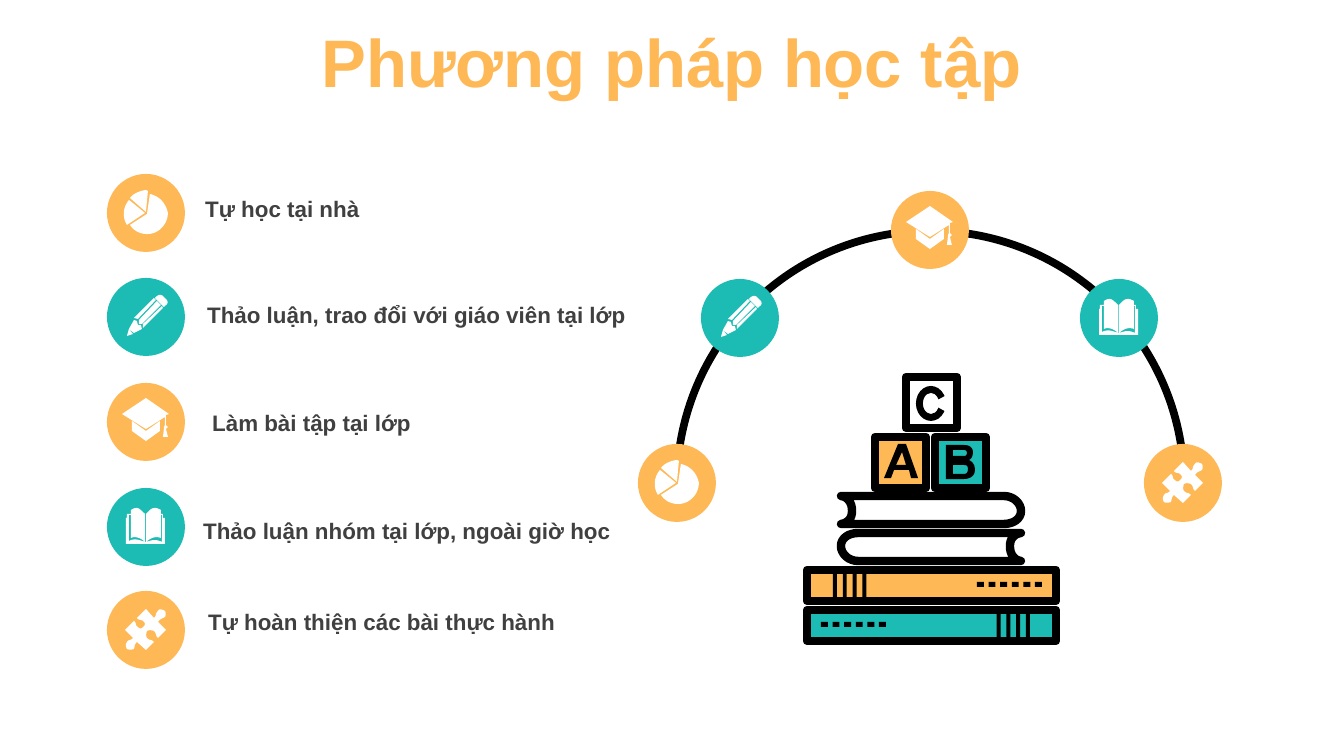
from dataclasses import dataclass

import pptx
import pptx.dml.color
import pptx.enum.shapes
import pptx.enum.text
import pptx.util

PX = 914400 / 134.4  # EMU in one pixel
FINE = 100  # outline steps in one pixel
CURVE_STEPS = 8
KIND = pptx.enum.shapes.MSO_SHAPE
ALIGN = pptx.enum.text.PP_ALIGN


@dataclass(frozen=True)
class Theme:
    font: str = "Arial"
    orange: str = "FEB856"
    teal: str = "1CBBB4"
    black: str = "000000"
    white: str = "FFFFFF"
    grey: str = "404040"
    title_size: float = 36
    method_size: float = 12
    border: float = 4.5


@dataclass(frozen=True)
class Method:
    text: str
    text_at: tuple[int, int]
    badge_y: int
    arc_at: tuple[int, int]
    color: str
    icon: str


@dataclass(frozen=True)
class Block:
    x: int
    y: int
    color: str


THEME = Theme()

# Icon outlines, measured from the centre of their badge
PIE = """M -17 -13 L -1 0 L -19 12 C -24 4 -23 -6 -17 -13
M 4 -19 C 13 -17 20 -10 22 0 C 22 9 16 17 8 20 C -1 23 -11 20 -16 12 L 1 1
M 0 -23 L 2 -22 L 0 -1 L -16 -15 C -12 -20 -6 -22 0 -23"""
PENCIL = """M -17 12 L -13 17 L -19 19
M -12 3 L -9 4 L -8 8 L -5 8 L -4 12 L -12 16 L -17 12
M 16 -11 L 17 -9 L -3 11 L -3 7
M 11 -16 L 15 -12 L -4 7 L -7 7 L -7 3
M 8 -19 L 10 -17 L -8 2 L -12 1
M 13 -22 C 15 -22 16 -22 17 -21 L 21 -17 C 22 -15 22 -13 20 -12 L 18 -10 L 9 -19 L 11 -21"""
CAP = """M -14 -1 L 0 9 L 14 -1 L 14 9 L 0 19 L -14 9
M 0 -24 L 23 -8 L 20 -7 L 20 3 L 22 5 L 20 7 L 22 15 L 17 15 L 18 7 L 18 5 L 19 3
L 19 -5 L 0 7 L -24 -8"""
BOOK = """M -1 15 L 0 15 C 7 13 9 12 16 15 L 16 -12 L 15 -12 L 15 11 C 9 9 5 11 0 15
L 0 -13 C 3 -16 5 -19 9 -19 C 11 -19 13 -18 15 -17 L 15 -13 L 17 -13 L 17 -9 L 19 -9
L 19 17 L -20 17 L -20 -9 L -19 -9 L -19 -13 L -15 -13 L -15 -17
C -13 -18 -12 -19 -9 -19 C -7 -19 -4 -16 -1 -13 L -1 15 C -5 11 -11 9 -15 11
L -15 -12 L -17 -12 L -17 14 C -11 11 -7 13 -1 15"""
PUZZLE = """M 19 -19 C 20 -17 20 -15 19 -13 C 16 -11 15 -12 12 -8 L 20 0 L 12 8
C 9 5 11 4 8 1 C 5 0 3 0 1 1 C 0 3 0 7 1 8 C 4 11 5 9 8 12 L 0 20 L -9 12
C -12 15 -11 16 -12 19 C -15 20 -17 20 -19 19 C -20 17 -21 15 -19 12
C -17 9 -15 11 -13 8 L -21 0 L -12 -9 C -9 -7 -11 -4 -8 -3 C -7 -1 -4 -1 -3 -3
C -1 -4 0 -7 -3 -9 C -5 -11 -7 -9 -9 -12 L 0 -21 L 8 -12 C 11 -15 9 -16 12 -19
C 13 -22 17 -20 19 -19"""

# Outlines of the toy letters and of an upright paperback
LETTER_A = """M 902 452 L 896 465 L 906 465
M 898 444 L 906 444 L 918 478 L 911 478 L 909 470 L 894 470 L 891 478 L 884 478"""
LETTER_B = """M 953 465 L 953 474 L 964 474 C 967 474 968 472 968 469 C 968 466 967 465 964 465
M 953 450 L 953 456 L 964 456 C 966 456 967 455 967 453 C 967 451 966 450 964 450
M 946 445 L 964 445 C 971 445 973 449 973 452 C 973 457 971 459 969 460
C 973 462 975 465 975 470 C 975 476 970 479 964 479 L 946 479"""
PAPERBACK = """M -14 90 L -14 -73 C -14 -82 -7 -90 1 -90 C 9 -90 14 -82 14 -73
L 14 90 C 13 83 8 79 1 79 C -7 79 -13 83 -14 90"""

METHODS = [
    Method("Tự học tại nhà", (192, 189), 213, (677, 483), THEME.orange, PIE),
    Method("Thảo luận, trao đổi với giáo viên tại lớp", (194, 295), 317, (740, 318), THEME.teal, PENCIL),
    Method("Làm bài tập tại lớp", (199, 403), 422, (930, 230), THEME.orange, CAP),
    Method("Thảo luận nhóm tại lớp, ngoài giờ học", (190, 511), 527, (1119, 318), THEME.teal, BOOK),
    Method("Tự hoàn thiện các bài thực hành", (195, 602), 630, (1183, 483), THEME.orange, PUZZLE),
]
BLOCKS = [Block(875, 437, THEME.orange), Block(935, 437, THEME.teal), Block(906, 377, THEME.white)]


def emu(pixels: float) -> int:
    return round(pixels * PX)


def rgb(color: str) -> pptx.dml.color.RGBColor:
    return pptx.dml.color.RGBColor.from_string(color)


def paint(shape, color: str, bordered: bool = False):
    shape.shadow.inherit = False
    shape.fill.solid()
    shape.fill.fore_color.rgb = rgb(color)
    if bordered:
        shape.line.color.rgb = rgb(THEME.black)
        shape.line.width = pptx.util.Pt(THEME.border)
    else:
        shape.line.fill.background()
    return shape


def preset(shapes, kind, x: float, y: float, w: float, h: float, color: str, bordered: bool = False):
    return paint(shapes.add_shape(kind, emu(x), emu(y), emu(w), emu(h)), color, bordered)


def contours(path: str) -> list[list[tuple[float, float]]]:
    """Turn M, L and C commands into closed lists of points."""
    result: list[list[tuple[float, float]]] = []
    tokens = iter(path.split())
    for command in tokens:
        ends = [(int(next(tokens)), int(next(tokens))) for _ in range(3 if command == "C" else 1)]
        if command == "M":
            result.append(ends)
        elif command == "L":
            result[-1] += ends
        else:
            controls = [result[-1][-1], *ends]
            for step in range(1, CURVE_STEPS + 1):
                t = step / CURVE_STEPS
                weights = ((1 - t) ** 3, 3 * t * (1 - t) ** 2, 3 * t * t * (1 - t), t ** 3)
                x, y = (sum(w * p[axis] for w, p in zip(weights, controls)) for axis in (0, 1))
                result[-1].append((x, y))
    return result


def outline(shapes, path: str, color: str, x: int = 0, y: int = 0, bordered: bool = False):
    fine = [[(px * FINE, py * FINE) for px, py in contour] for contour in contours(path)]
    builder = shapes.build_freeform(*fine[0][0], scale=PX / FINE)
    for index, contour in enumerate(fine):
        if index:
            builder.move_to(*contour[0])
        builder.add_line_segments(contour[1:], close=True)
    return paint(builder.convert_to_shape(emu(x), emu(y)), color, bordered)


def write(shape, text: str, size: float, color: str, align=ALIGN.LEFT) -> None:
    frame = shape.text_frame
    frame.word_wrap = True
    frame.text = text
    paragraph = frame.paragraphs[0]
    paragraph.alignment = align
    font = paragraph.runs[0].font
    font.name, font.size, font.bold = THEME.font, pptx.util.Pt(size), True
    font.color.rgb = rgb(color)


def badge(shapes, x: int, y: int, method: Method) -> None:
    preset(shapes, KIND.OVAL, x - 39, y - 39, 78, 78, method.color)
    outline(shapes, method.icon, THEME.white, x, y)


def hardback(shapes, y: int, color: str, mirrored: bool) -> None:
    left, width = 807, 249
    preset(shapes, KIND.RECTANGLE, left, y, width, 31, color, True)
    stripes = [(26 + 9.8 * i, 0, 4, 31) for i in range(4)]
    dots = [(170 + 11.6 * i, 12, 7, 5) for i in range(6)]
    for dx, dy, w, h in stripes + dots:
        x = left + (width - dx - w if mirrored else dx)
        preset(shapes, KIND.RECTANGLE, x, y + dy, w, h, THEME.black)


def arc(shapes, x: int, y: int, w: int, h: int, values: tuple[float, float, float]) -> None:
    ring = preset(shapes, KIND.BLOCK_ARC, x, y, w, h, THEME.black)
    for index, value in enumerate(values):
        ring.adjustments[index] = value


deck = pptx.Presentation()
deck.slide_width, deck.slide_height = emu(1344), emu(756)
canvas = deck.slides.add_slide(deck.slide_layouts[6]).shapes

# Title
title = canvas.add_textbox(emu(0), emu(4), emu(1344), emu(114))
write(title, "Phương pháp học tập", THEME.title_size, THEME.orange, ALIGN.CENTER)
title.text_frame.vertical_anchor = pptx.enum.text.MSO_ANCHOR.MIDDLE

# Half ring, then the badges on it and in the list
arc(canvas, 673, 227, 515, 515, (108, 215.59, 0.015))
for method in METHODS:
    badge(canvas, *method.arc_at, method)
    badge(canvas, 146, method.badge_y, method)
    label = canvas.add_textbox(*map(emu, method.text_at), emu(450), emu(41))
    write(label, method.text, THEME.method_size, THEME.grey)
    label.text_frame.auto_size = pptx.enum.text.MSO_AUTO_SIZE.SHAPE_TO_FIT_TEXT

# Stack of books and toy blocks
stack = canvas.add_group_shape().shapes
hardback(stack, 570, THEME.orange, False)
hardback(stack, 610, THEME.teal, True)
for block in BLOCKS:
    preset(stack, KIND.RECTANGLE, block.x, block.y, 51, 51, block.color, True)
for letter in (LETTER_A, LETTER_B):
    outline(stack, letter, THEME.black)
arc(stack, 916, 386, 30, 35, (17.57, 198.9, 0.23))
for center_y, turn in ((510, 90), (547, 270)):
    outline(stack, PAPERBACK, THEME.white, 931, center_y, True).rotation = turn

deck.save("out.pptx")
